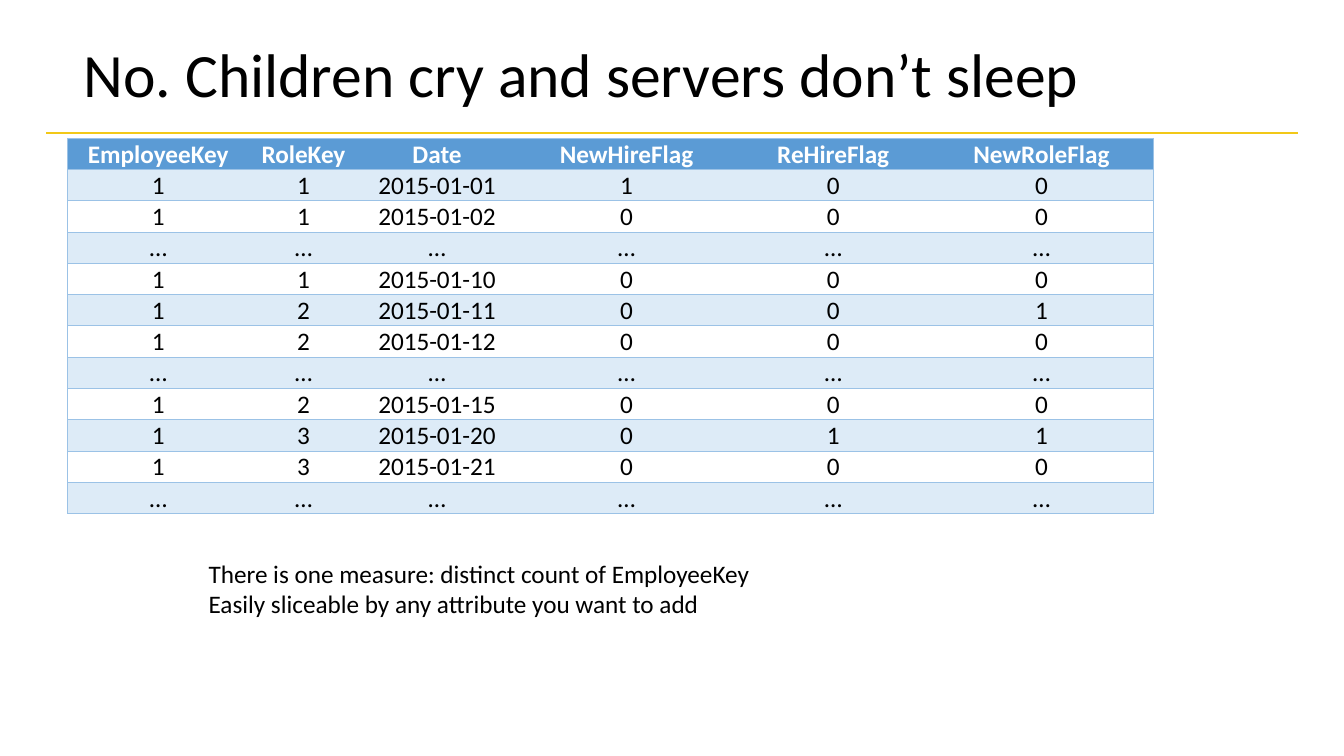
from lxml.etree import SubElement
from pptx import Presentation
from pptx.dml.color import RGBColor
from pptx.enum.shapes import MSO_CONNECTOR
from pptx.enum.text import MSO_ANCHOR, PP_ALIGN
from pptx.oxml.ns import qn
from pptx.util import Pt

PX = 9144
FONT = "Calibri"
BLACK = RGBColor(0x00, 0x00, 0x00)
WHITE = RGBColor(0xFF, 0xFF, 0xFF)
GOLD = RGBColor(0xF2, 0xC8, 0x18)
HEADER_BLUE = RGBColor(0x5B, 0x9B, 0xD5)
BAND_BLUE = RGBColor(0xDD, 0xEB, 0xF7)
BORDER_BLUE = RGBColor(0x9B, 0xC2, 0xE6)

COLUMN_WIDTHS = (180, 108, 157, 219, 191, 222)
ROW_HEIGHT = 31
GAP = ("…",) * 6
EMPLOYEE_ROWS = (
    ("EmployeeKey", "RoleKey", "Date", "NewHireFlag", "ReHireFlag", "NewRoleFlag"),
    ("1", "1", "2015-01-01", "1", "0", "0"),
    ("1", "1", "2015-01-02", "0", "0", "0"),
    GAP,
    ("1", "1", "2015-01-10", "0", "0", "0"),
    ("1", "2", "2015-01-11", "0", "0", "1"),
    ("1", "2", "2015-01-12", "0", "0", "0"),
    GAP,
    ("1", "2", "2015-01-15", "0", "0", "0"),
    ("1", "3", "2015-01-20", "0", "1", "1"),
    ("1", "3", "2015-01-21", "0", "0", "0"),
    GAP,
)


def px(*lengths):
    return [length * PX for length in lengths]


def write_text(text_frame, text, size=18, color=BLACK, bold=False,
               align=PP_ALIGN.LEFT, line_spacing=1.0):
    text_frame.text = text
    for paragraph in text_frame.paragraphs:
        paragraph.alignment = align
        paragraph.line_spacing = line_spacing
        for run in paragraph.runs:
            run.font.name = FONT
            run.font.size = Pt(size)
            run.font.bold = bold
            run.font.color.rgb = color


def add_text(slide, box, text, anchor=MSO_ANCHOR.TOP, **text_format):
    text_frame = slide.shapes.add_textbox(*px(*box)).text_frame
    text_frame.word_wrap = True
    text_frame.vertical_anchor = anchor
    write_text(text_frame, text, **text_format)


def add_rule(slide, left, right, top):
    rule = slide.shapes.add_connector(MSO_CONNECTOR.STRAIGHT, *px(left, top, right, top))
    rule.line.color.rgb = GOLD
    rule.line.width = Pt(2)
    SubElement(rule._element.spPr, qn("a:effectLst"))


def set_borders(cell, visible_sides):
    properties = cell._tc.get_or_add_tcPr()
    for side in "LRTB":
        border = SubElement(properties, qn(f"a:ln{side}"), w=str(Pt(0.5)))
        if side in visible_sides:
            fill = SubElement(border, qn("a:solidFill"))
            SubElement(fill, qn("a:srgbClr"), val=str(BORDER_BLUE))
        else:
            SubElement(border, qn("a:noFill"))


def format_cell(cell, text, row, column):
    is_header = row == 0
    write_text(cell.text_frame, text, bold=is_header,
               color=WHITE if is_header else BLACK, align=PP_ALIGN.CENTER)
    cell.vertical_anchor = MSO_ANCHOR.BOTTOM
    cell.margin_left = cell.margin_right = cell.margin_top = PX
    cell.margin_bottom = 0
    outer_sides = {0: "L", len(COLUMN_WIDTHS) - 1: "R"}
    set_borders(cell, "TB" + outer_sides.get(column, ""))
    if is_header or row % 2:
        cell.fill.solid()
        cell.fill.fore_color.rgb = HEADER_BLUE if is_header else BAND_BLUE
    else:
        cell.fill.background()


def add_employee_table(slide, left, top):
    row_count = len(EMPLOYEE_ROWS)
    frame = px(left, top, sum(COLUMN_WIDTHS), row_count * ROW_HEIGHT)
    table = slide.shapes.add_table(row_count, len(COLUMN_WIDTHS), *frame).table
    table.first_row = table.horz_banding = False
    for column, width in zip(table.columns, COLUMN_WIDTHS):
        column.width = width * PX
    for row, values in enumerate(EMPLOYEE_ROWS):
        table.rows[row].height = ROW_HEIGHT * PX
        for column, value in enumerate(values):
            format_cell(table.cell(row, column), value, row, column)


def main():
    presentation = Presentation()
    presentation.slide_width, presentation.slide_height = px(1333, 750)
    slide = presentation.slides.add_slide(presentation.slide_layouts[6])
    add_rule(slide, 46, 1287, 132)
    add_text(slide, (73, 22, 1189, 110), "No. Children cry and servers don’t sleep",
             anchor=MSO_ANCHOR.MIDDLE, size=44, line_spacing=0.9)
    add_employee_table(slide, 67, 137)
    add_text(slide, (197, 549, 768, 71),
             "There is one measure: distinct count of EmployeeKey\n"
             "Easily sliceable by any attribute you want to add")
    presentation.save("out.pptx")


if __name__ == "__main__":
    main()
